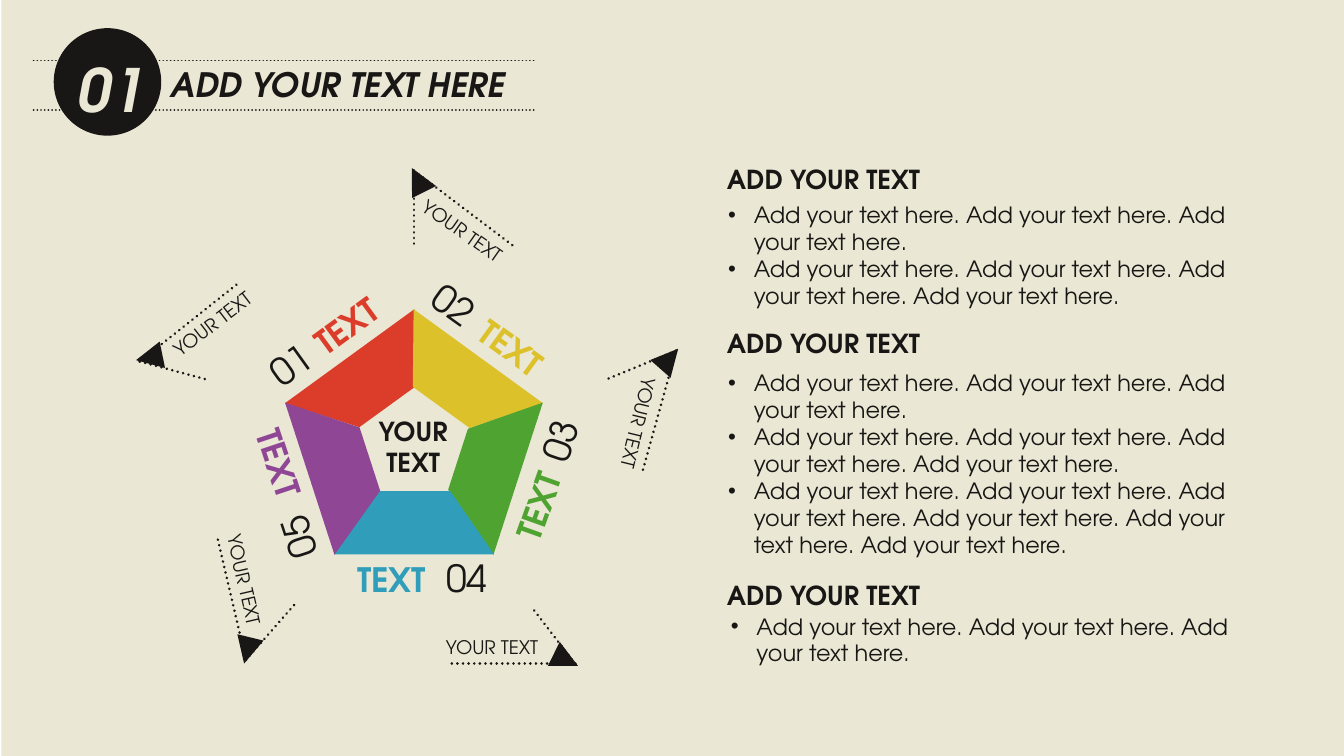
from dataclasses import dataclass
from math import cos, radians, sin

from lxml.etree import SubElement
from pptx import Presentation
from pptx.dml.color import RGBColor
from pptx.enum.dml import MSO_LINE
from pptx.enum.shapes import MSO_CONNECTOR, MSO_SHAPE
from pptx.enum.text import MSO_AUTO_SIZE, PP_ALIGN
from pptx.oxml.ns import qn
from pptx.shapes.autoshape import Shape
from pptx.util import Inches, Pt

Point = tuple[float, float]


@dataclass(frozen=True)
class Theme:
    font: str = "TeX Gyre Adventor"
    ink: str = "181715"
    paper: str = "EAE7D4"
    badge: int = 32
    number: int = 20
    title: int = 18
    heading: int = 14
    body: int = 12
    label: int = 10


@dataclass(frozen=True)
class Label:
    text: str
    box: tuple[float, float, float, float]
    size: int
    color: str = Theme.ink
    rotation: float = 0
    bold: bool = False
    italic: bool = False
    wrap: bool = False
    bullets: bool = False
    centered: bool = False


@dataclass(frozen=True)
class Side:
    number: str
    color: str
    rotation: float
    slant: float
    number_at: Point
    number_rotation: float
    word_at: Point
    word_rotation: float


@dataclass(frozen=True)
class Callout:
    tip: Point
    short_end: Point
    long_end: Point
    arrow_at: Point
    arrow_rotation: float
    label_at: Point
    label_rotation: float


@dataclass(frozen=True)
class Section:
    heading_top: float
    body_at: Point
    body_height: float
    repeats: tuple[int, ...]


THEME = Theme()
SLIDE_WIDTH = 10
SLIDE_HEIGHT = SLIDE_WIDTH * 9 / 16
PENTAGON_CENTER = (3.08, 3.31)
PENTAGON_RADIUS = 0.58
SIDE_SIZE = (1.19, 0.47)

SIDES = [
    Side("01", "DC3D2A", 144, 0.73, (1.91, 2.49), 324.3, (2.22, 2.22), 323.9),
    Side("02", "DCC12A", 216, 0.71, (3.12, 2.05), 35.7, (3.45, 2.39), 36),
    Side("03", "4FA331", 288, 0.76, (3.91, 3.05), 288.8, (3.65, 3.56), 289.6),
    Side("04", "309EBA", 0, 0.69, (3.22, 4.08), 0, (2.56, 4.11), 0),
    Side("05", "8F4695", 72, 0.74, (1.96, 3.77), 251.8, (1.72, 3.25), 71.6),
]
CALLOUTS = [
    Callout((3.08, 1.27), (3.08, 1.82), (3.82, 1.83), (3.01, 1.24), 333.1, (3, 1.59), 35),
    Callout((5.03, 2.61), (4.52, 2.82), (4.78, 3.51), (4.88, 2.57), 41.4, (4.3, 3.02), 103.7),
    Callout((4.28, 4.94), (3.95, 4.51), (3.34, 4.94), (4.11, 4.81), 116.1, (3.22, 4.68), 0),
    Callout((1.83, 4.91), (2.19, 4.5), (1.62, 4.01), (1.74, 4.74), 193.7, (1.37, 4.19), 77),
    Callout((1.04, 2.69), (1.56, 2.83), (1.77, 2.11), (1.01, 2.56), 258.4, (1.14, 2.27), 322.6),
]
SECTIONS = [
    Section(1.17, (5.32, 1.45), 0.91, (3, 4)),
    Section(2.39, (5.32, 2.7), 1.51, (3, 4, 6)),
    Section(4.26, (5.34, 4.51), 0.51, (3,)),
]


def add_solid(shapes, kind: MSO_SHAPE, box: tuple[float, float, float, float],
              color: str, rotation: float = 0) -> Shape:
    shape = shapes.add_shape(kind, *map(Inches, box))
    shape.shadow.inherit = False
    shape.fill.solid()
    shape.fill.fore_color.rgb = RGBColor.from_string(color)
    shape.line.fill.background()
    shape.rotation = rotation
    return shape


def add_dotted_line(shapes, start: Point, end: Point, width: float) -> None:
    connector = shapes.add_connector(MSO_CONNECTOR.STRAIGHT, *map(Inches, (*start, *end)))
    connector.line.color.rgb = RGBColor.from_string(THEME.ink)
    connector.line.width = Pt(width)
    connector.line.dash_style = MSO_LINE.ROUND_DOT
    properties = connector._element.spPr
    properties.find(qn("a:ln")).set("cap", "rnd")
    SubElement(properties, qn("a:effectLst"))


def add_label(shapes, label: Label) -> None:
    shape = shapes.add_textbox(*map(Inches, label.box))
    shape.rotation = label.rotation
    frame = shape.text_frame
    frame.word_wrap = label.wrap
    frame.auto_size = MSO_AUTO_SIZE.SHAPE_TO_FIT_TEXT
    frame.text = label.text
    for paragraph in frame.paragraphs:
        if label.bullets:
            properties = paragraph._p.get_or_add_pPr()
            properties.set("marL", str(Inches(0.19)))
            properties.set("indent", str(Inches(-0.19)))
            SubElement(properties, qn("a:buFont"), typeface="Arial")
            SubElement(properties, qn("a:buChar"), char="•")
        if label.centered:
            paragraph.alignment = PP_ALIGN.CENTER
        font = paragraph.font
        font.name = THEME.font
        font.size = Pt(label.size)
        font.bold = label.bold
        font.italic = label.italic
        font.color.rgb = RGBColor.from_string(label.color)


def add_header(shapes) -> None:
    for y in (0.45, 0.82):
        add_dotted_line(shapes, (0.25, y), (3.98, y), 1)
    add_solid(shapes, MSO_SHAPE.OVAL, (0.4, 0.21, 0.8, 0.8), THEME.ink)
    add_label(shapes, Label("01", (0.48, 0.34, 0.7, 0.64), THEME.badge, THEME.paper,
                            bold=True, italic=True))
    add_label(shapes, Label("ADD YOUR TEXT HERE", (1.17, 0.43, 2.76, 0.4), THEME.title,
                            bold=True, italic=True))


def add_side(shapes, side: Side) -> None:
    width, height = SIDE_SIZE
    angle = radians(side.rotation)
    left = PENTAGON_CENTER[0] - PENTAGON_RADIUS * sin(angle) - width / 2
    top = PENTAGON_CENTER[1] + PENTAGON_RADIUS * cos(angle) - height / 2
    trapezoid = add_solid(shapes, MSO_SHAPE.TRAPEZOID, (left, top, width, height),
                          side.color, side.rotation)
    trapezoid.adjustments[0] = side.slant
    add_label(shapes, Label(side.number, (*side.number_at, 0.52, 0.44), THEME.number,
                            rotation=side.number_rotation))
    add_label(shapes, Label("TEXT", (*side.word_at, 0.72, 0.4), THEME.title, side.color,
                            side.word_rotation, bold=True))


def add_callout(shapes, callout: Callout) -> None:
    pointer = shapes.add_group_shape()
    for end in (callout.short_end, callout.long_end):
        add_dotted_line(pointer.shapes, callout.tip, end, 1.5)
    add_solid(pointer.shapes, MSO_SHAPE.ISOSCELES_TRIANGLE, (*callout.arrow_at, 0.2, 0.2),
              THEME.ink, callout.arrow_rotation)
    add_label(shapes, Label("YOUR TEXT", (*callout.label_at, 0.9, 0.27), THEME.label,
                            rotation=callout.label_rotation))


def add_section(shapes, section: Section) -> None:
    add_label(shapes, Label("ADD YOUR TEXT", (5.31, section.heading_top, 1.65, 0.34),
                            THEME.heading, bold=True))
    body = "\n".join(" ".join(["Add your text here."] * count) for count in section.repeats)
    add_label(shapes, Label(body, (*section.body_at, 4.17, section.body_height), THEME.body,
                            wrap=True, bullets=True))


def main() -> None:
    presentation = Presentation()
    presentation.slide_width = Inches(SLIDE_WIDTH)
    presentation.slide_height = Inches(SLIDE_HEIGHT)
    slide = presentation.slides.add_slide(presentation.slide_layouts[6])
    shapes = slide.shapes
    add_solid(shapes, MSO_SHAPE.RECTANGLE, (0.01, 0, 9.99, SLIDE_HEIGHT), THEME.paper)
    add_header(shapes)
    for side in SIDES:
        add_side(shapes, side)
    add_label(shapes, Label("YOUR\nTEXT", (2.71, 3.04, 0.73, 0.57), THEME.heading,
                            bold=True, centered=True))
    for callout in CALLOUTS:
        add_callout(shapes, callout)
    for section in SECTIONS:
        add_section(shapes, section)
    presentation.save("out.pptx")


if __name__ == "__main__":
    main()
